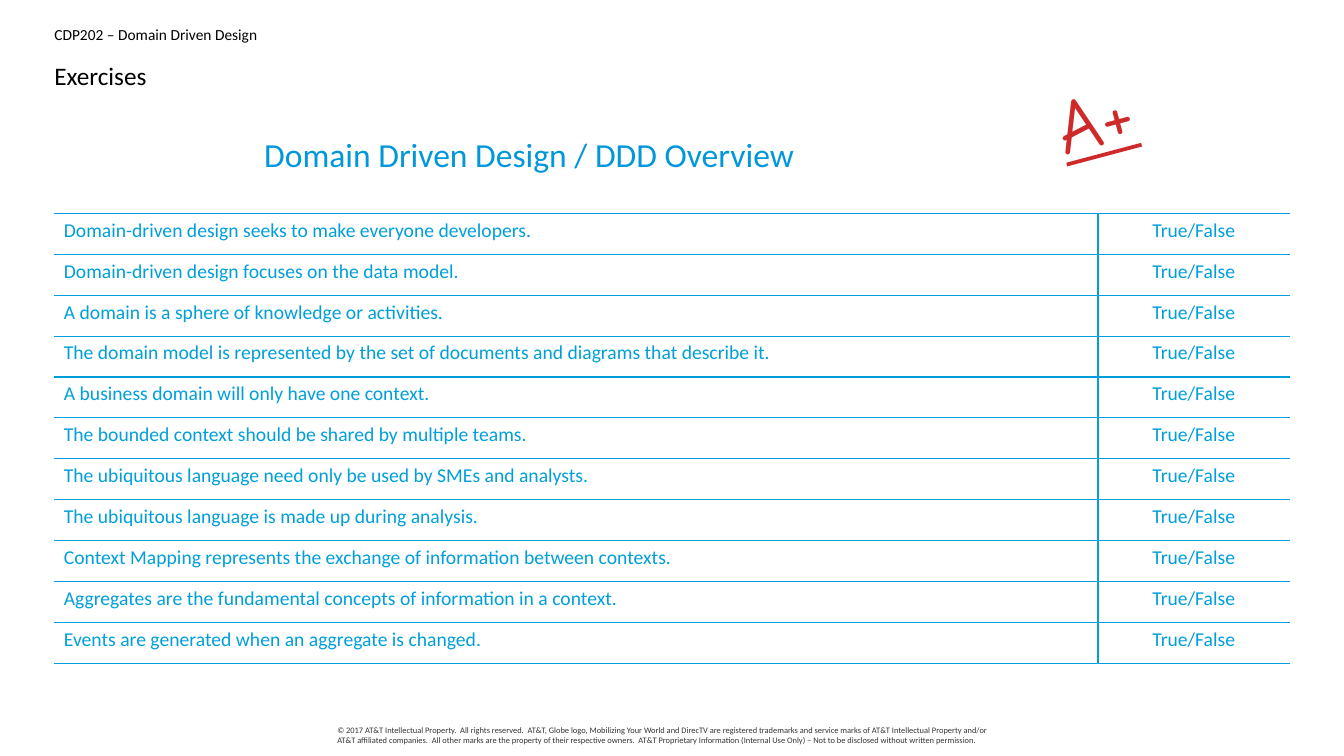
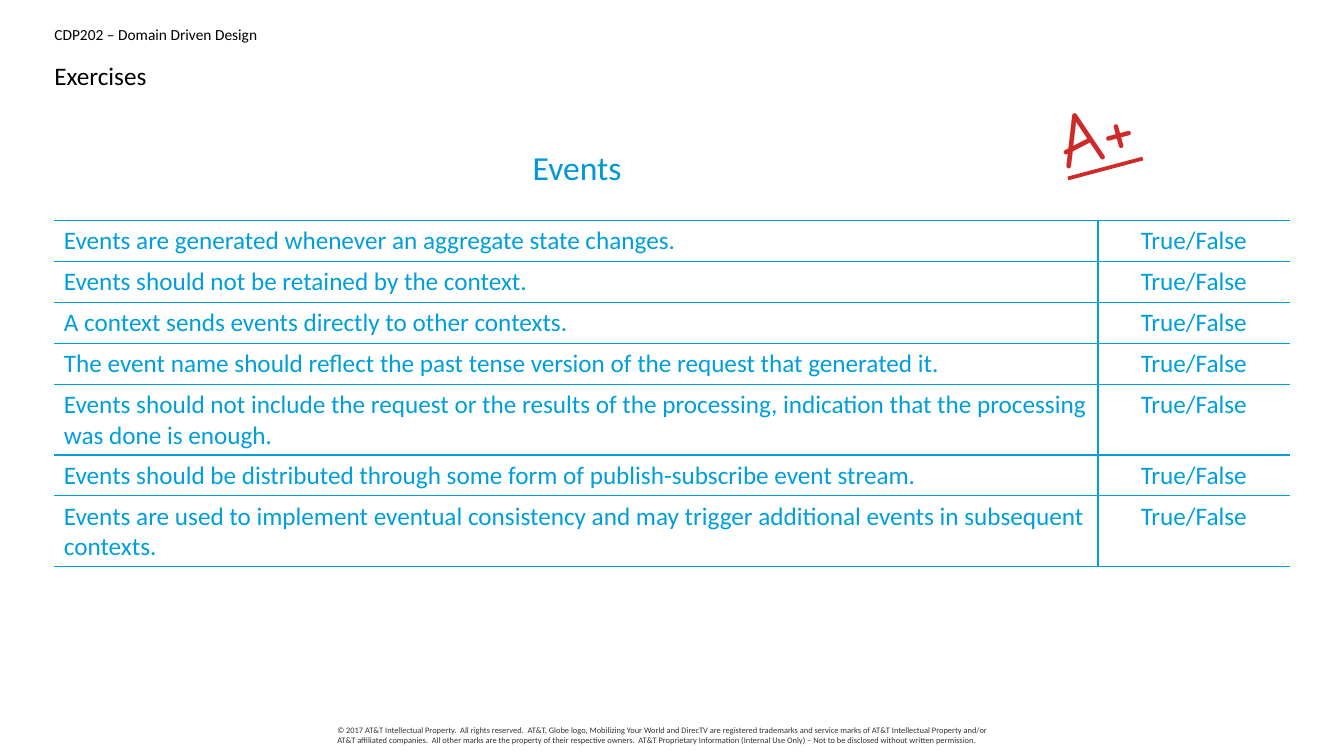
from dataclasses import dataclass
from typing import NamedTuple

from lxml import etree
from pptx import Presentation
from pptx import util as u
from pptx.dml.color import RGBColor
from pptx.enum import text
from pptx.oxml import ns


@dataclass(frozen=True)
class Theme:
    font: str = "Calibri"
    grade_font: str = "Comic Neue"
    ink: str = "000000"
    fine_print: str = "343434"
    heading: str = "0097DB"
    accent: str = "009FDB"
    grade: str = "CF2A2A"
    course_size: int = 11
    title_size: int = 18
    heading_size: int = 24
    grade_size: int = 54
    footer_size: int = 6
    rule_width: int = 1


class Box(NamedTuple):
    left: float
    top: float
    width: float
    height: float

    def lengths(self):
        return [u.Cm(length) for length in self]


THEME = Theme()
SLIDE_WIDTH, SLIDE_HEIGHT = 33.87, 19.05
COURSE_BOX = Box(1.37, 0.63, 31.14, 0.5)
TITLE_BOX = Box(1.37, 1.45, 31.14, 0.94)
FOOTER_BOX = Box(8.5, 18.27, 16.87, 0.6)
ANSWER_WIDTH = 4.83
ROW_HEIGHT = 1.03
INSET_X, INSET_Y = 0.25, 0.13

COURSE = "CDP202 – Domain Driven Design"
TITLE = "Exercises"
ANSWER = "True/False"
COPYRIGHT = (
    "© 2017 AT&T Intellectual Property.  All rights reserved.  AT&T, Globe logo, "
    "Mobilizing Your World and DirecTV are registered trademarks and service marks of "
    "AT&T Intellectual Property and/or AT&T affiliated companies.  All other marks are "
    "the property of their respective owners.  AT&T Proprietary Information "
    "(Internal Use Only) – Not to be disclosed without written permission."
)

EXERCISES = [
    {
        "heading": "Domain Driven Design / DDD Overview",
        "heading_box": Box(3.76, 3.25, 19.15, 1.27),
        "grade_box": Box(26.57, 1.63, 3.2, 2.26),
        "quiz_box": Box(1.36, 5.38, 31.14, 11.33),
        "quiz_size": 14,
        "statements": [
            "Domain-driven design seeks to make everyone developers.",
            "Domain-driven design focuses on the data model.",
            "A domain is a sphere of knowledge or activities.",
            "The domain model is represented by the set of documents and diagrams that describe it.",
            "A business domain will only have one context.",
            "The bounded context should be shared by multiple teams.",
            "The ubiquitous language need only be used by SMEs and analysts.",
            "The ubiquitous language is made up during analysis.",
            "Context Mapping represents the exchange of information between contexts.",
            "Aggregates are the fundamental concepts of information in a context.",
            "Events are generated when an aggregate is changed.",
        ],
    },
    {
        "heading": "Events",
        "heading_box": Box(13.16, 3.58, 2.77, 1.27),
        "grade_box": Box(26.6, 1.98, 3.2, 2.26),
        "quiz_box": Box(1.36, 5.56, 31.14, 7.21),
        "quiz_size": 18,
        "statements": [
            "Events are generated whenever an aggregate state changes.",
            "Events should not be retained by the context.",
            "A context sends events directly to other contexts.",
            "The event name should reflect the past tense version of the request that generated it.",
            "Events should not include the request or the results of the processing, "
            "indication that the processing was done is enough.",
            "Events should be distributed through some form of publish-subscribe event stream.",
            "Events are used to implement eventual consistency and may trigger additional "
            "events in subsequent contexts.",
        ],
    },
]


def style(paragraph, size, color, font=THEME.font):
    paragraph.font.name = font
    paragraph.font.size = u.Pt(size)
    paragraph.font.color.rgb = RGBColor.from_string(color)


def add_label(slide, box, words, size, color, font=THEME.font):
    label = slide.shapes.add_textbox(*box.lengths())
    frame = label.text_frame
    frame.margin_left = frame.margin_right = 0
    frame.margin_top = frame.margin_bottom = 0
    frame.word_wrap = True
    frame.text = words
    style(frame.paragraphs[0], size, color, font)
    return label


def add_page_frame(slide):
    add_label(slide, COURSE_BOX, COURSE, THEME.course_size, THEME.ink)
    add_label(slide, FOOTER_BOX, COPYRIGHT, THEME.footer_size, THEME.fine_print)
    title = add_label(slide, TITLE_BOX, TITLE, THEME.title_size, THEME.ink)
    title.text_frame.paragraphs[0].line_spacing = 1.1


def add_heading(slide, box, words):
    inner = Box(box.left, box.top + INSET_Y, box.width, box.height - 2 * INSET_Y)
    heading = add_label(slide, inner, words, THEME.heading_size, THEME.heading)
    heading.text_frame.word_wrap = False
    heading.text_frame.paragraphs[0].alignment = text.PP_ALIGN.CENTER


def add_grade(slide, box):
    grade = add_label(slide, box, "A+", THEME.grade_size, THEME.grade, THEME.grade_font)
    grade.rotation = 345.1
    grade.text_frame.paragraphs[0].font.underline = True


def rule_cell(cell, ruled_edges):
    cell.fill.background()
    properties = cell._tc.get_or_add_tcPr()
    for position, edge in enumerate("LRTB"):
        line = etree.Element(ns.qn(f"a:ln{edge}"), w=str(u.Pt(THEME.rule_width)))
        if edge in ruled_edges:
            fill = etree.SubElement(line, ns.qn("a:solidFill"))
            etree.SubElement(fill, ns.qn("a:srgbClr"), val=THEME.accent)
        else:
            etree.SubElement(line, ns.qn("a:noFill"))
        properties.insert(position, line)


def add_quiz(slide, box, statements, size):
    quiz = slide.shapes.add_table(len(statements), 2, *box.lengths()).table
    quiz.first_row = quiz.horz_banding = False
    quiz.columns[0].width = u.Cm(box.width - ANSWER_WIDTH)
    quiz.columns[1].width = u.Cm(ANSWER_WIDTH)
    columns = [(text.PP_ALIGN.LEFT, "RTB"), (text.PP_ALIGN.CENTER, "LTB")]
    for row, statement in zip(quiz.rows, statements):
        row.height = u.Cm(ROW_HEIGHT)
        for cell, words, (alignment, edges) in zip(row.cells, (statement, ANSWER), columns):
            cell.margin_left = cell.margin_right = u.Cm(INSET_X)
            cell.margin_top = cell.margin_bottom = u.Cm(INSET_Y)
            cell.text = words
            paragraph = cell.text_frame.paragraphs[0]
            paragraph.alignment = alignment
            style(paragraph, size, THEME.accent)
            rule_cell(cell, edges)


def add_exercise_slide(deck, exercise):
    slide = deck.slides.add_slide(deck.slide_layouts[6])
    add_page_frame(slide)
    add_quiz(slide, exercise["quiz_box"], exercise["statements"], exercise["quiz_size"])
    add_heading(slide, exercise["heading_box"], exercise["heading"])
    add_grade(slide, exercise["grade_box"])


def main():
    deck = Presentation()
    deck.slide_width = u.Cm(SLIDE_WIDTH)
    deck.slide_height = u.Cm(SLIDE_HEIGHT)
    for exercise in EXERCISES:
        add_exercise_slide(deck, exercise)
    deck.save("out.pptx")


if __name__ == "__main__":
    main()
